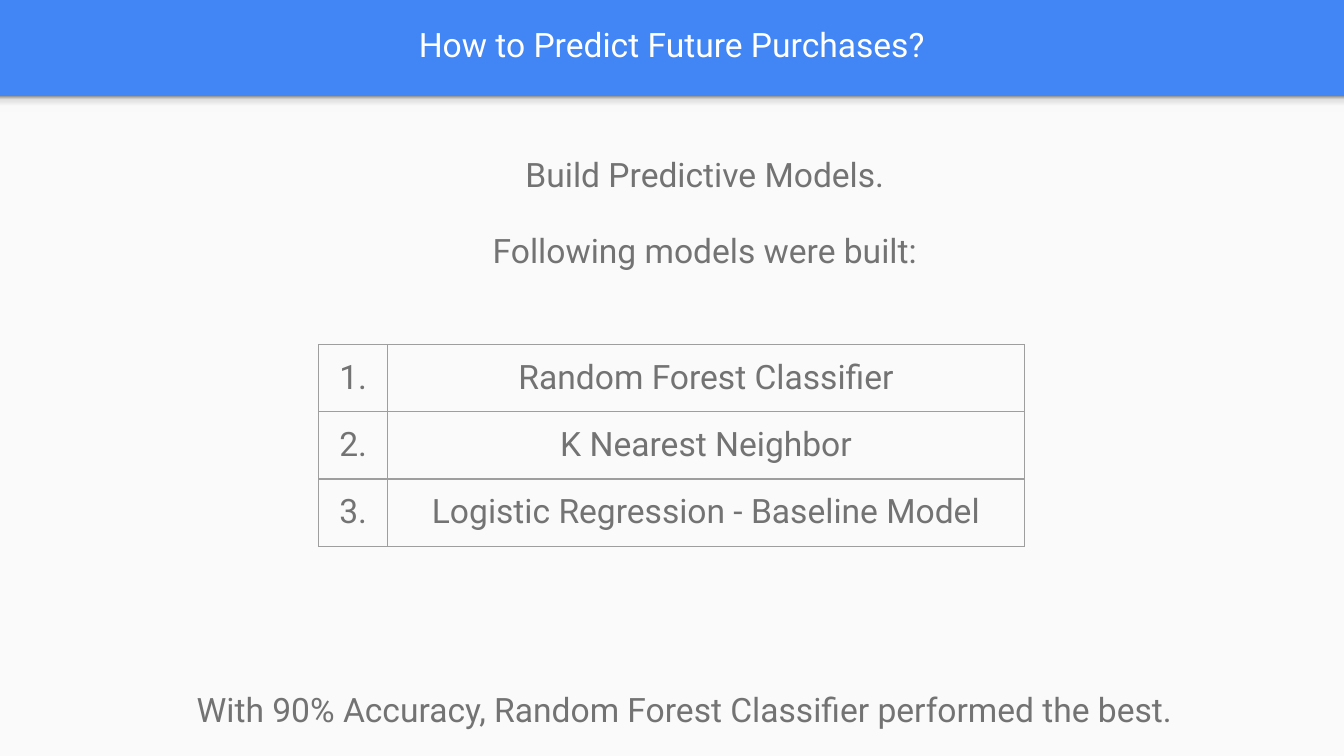
from lxml import etree
from pptx import Presentation
from pptx.dml.color import RGBColor
from pptx.enum import shapes, text
from pptx.oxml import ns
from pptx.util import Pt

WIDTH, HEIGHT, HEADER = 720, 405, 51.6
BLUE, PAPER, WHITE, GREY, RULE = "4285F4", "FAFAFA", "FFFFFF", "737373", "9E9E9E"
INSET = 7.2

TITLE = "How to Predict Future Purchases?"
INTRO = ["Build Predictive Models.", "Following models were built:"]
MODELS = ["Random Forest Classifier", "K Nearest Neighbor", "Logistic Regression - Baseline Model"]
RESULT = "With 90% Accuracy, Random Forest Classifier performed the best."
SHADOW_STOPS = [(0, "F9F9F9"), (36, "F9F9F9"), (80, "DEDEDE"), (100, "999999")]
TABLE_AT, COLUMNS, ROW_HEIGHT = (170.8, 184.5), (36.8, 341.4), 35.5

FRAME = {"word_wrap": True, **{f"margin_{side}": Pt(INSET) for side in ("left", "right", "top", "bottom")}}
FONT = {"name": "Roboto", "size": Pt(18)}


def colour(value):
    return RGBColor.from_string(value)


def assign(target, values):
    for name, value in values.items():
        setattr(target, name, value)


def write(frame, lines, ink=GREY, **spacing):
    """Fill a text frame with centred paragraphs."""
    for index, line in enumerate(lines):
        paragraph = frame.paragraphs[0] if index == 0 else frame.add_paragraph()
        assign(paragraph, {"alignment": text.PP_ALIGN.CENTER, **spacing})
        if index:
            paragraph.space_before = Pt(16)
        run = paragraph.add_run()
        run.text = line
        assign(run.font, FONT)
        run.font.color.rgb = colour(ink)


def add_text(slide, box, lines, ink=GREY, frame_format=None, **spacing):
    frame = slide.shapes.add_textbox(*map(Pt, box)).text_frame
    assign(frame, {**FRAME, **(frame_format or {})})
    write(frame, lines, ink, **spacing)


def add_band(slide, top, height):
    """Add a full-width rectangle without line or shadow."""
    band = slide.shapes.add_shape(shapes.MSO_SHAPE.RECTANGLE, 0, Pt(top), Pt(WIDTH), Pt(height))
    band.shadow.inherit = False
    band.line.fill.background()
    return band


def fill_gradient(shape, stops, angle):
    shape.fill.gradient()
    shape.fill.gradient_angle = angle
    stop_list = shape.fill._fill._gradFill.find(ns.qn("a:gsLst"))
    for stop in list(stop_list):
        stop_list.remove(stop)
    for percent, value in stops:
        stop = etree.SubElement(stop_list, ns.qn("a:gs"), pos=str(percent * 1000))
        etree.SubElement(stop, ns.qn("a:srgbClr"), val=value)


def add_borders(cell):
    properties = cell._tc.get_or_add_tcPr()
    for index, edge in enumerate(("lnL", "lnR", "lnT", "lnB")):
        line = etree.Element(ns.qn(f"a:{edge}"), w=str(Pt(0.75)))
        fill = etree.SubElement(line, ns.qn("a:solidFill"))
        etree.SubElement(fill, ns.qn("a:srgbClr"), val=RULE)
        properties.insert(index, line)


def add_models(slide):
    size = sum(COLUMNS), ROW_HEIGHT * len(MODELS)
    table = slide.shapes.add_table(len(MODELS), len(COLUMNS), *map(Pt, TABLE_AT + size)).table
    assign(table, {"first_row": False, "horz_banding": False})
    for column, width in zip(table.columns, COLUMNS):
        column.width = Pt(width)
    for row, model in enumerate(MODELS):
        table.rows[row].height = Pt(ROW_HEIGHT)
        for column, label in enumerate((f"{row + 1}.", model)):
            cell = table.cell(row, column)
            cell.fill.background()
            add_borders(cell)
            assign(cell, {name: value for name, value in FRAME.items() if name != "word_wrap"})
            cell.vertical_anchor = text.MSO_ANCHOR.MIDDLE
            write(cell.text_frame, [label])


def main():
    deck = Presentation()
    assign(deck, {"slide_width": Pt(WIDTH), "slide_height": Pt(HEIGHT)})
    slide = deck.slides.add_slide(deck.slide_layouts[6])
    slide.background.fill.solid()
    slide.background.fill.fore_color.rgb = colour(BLUE)

    page = add_band(slide, HEADER, HEIGHT - HEADER)
    page.fill.solid()
    page.fill.fore_color.rgb = colour(PAPER)
    fill_gradient(add_band(slide, HEADER, 8.5), SHADOW_STOPS, 90)

    add_text(slide, (12.4, 0, 695, 47.8), [TITLE], WHITE,
             {"vertical_anchor": text.MSO_ANCHOR.MIDDLE})
    add_text(slide, (43.2, 358.6, 647.2, 34.6), [RESULT], line_spacing=1.15)
    add_text(slide, (36, 72, 647.2, 221), INTRO,
             frame_format={"margin_left": Pt(INSET + 36)}, line_spacing=1.15)
    add_models(slide)
    deck.save("out.pptx")


if __name__ == "__main__":
    main()
